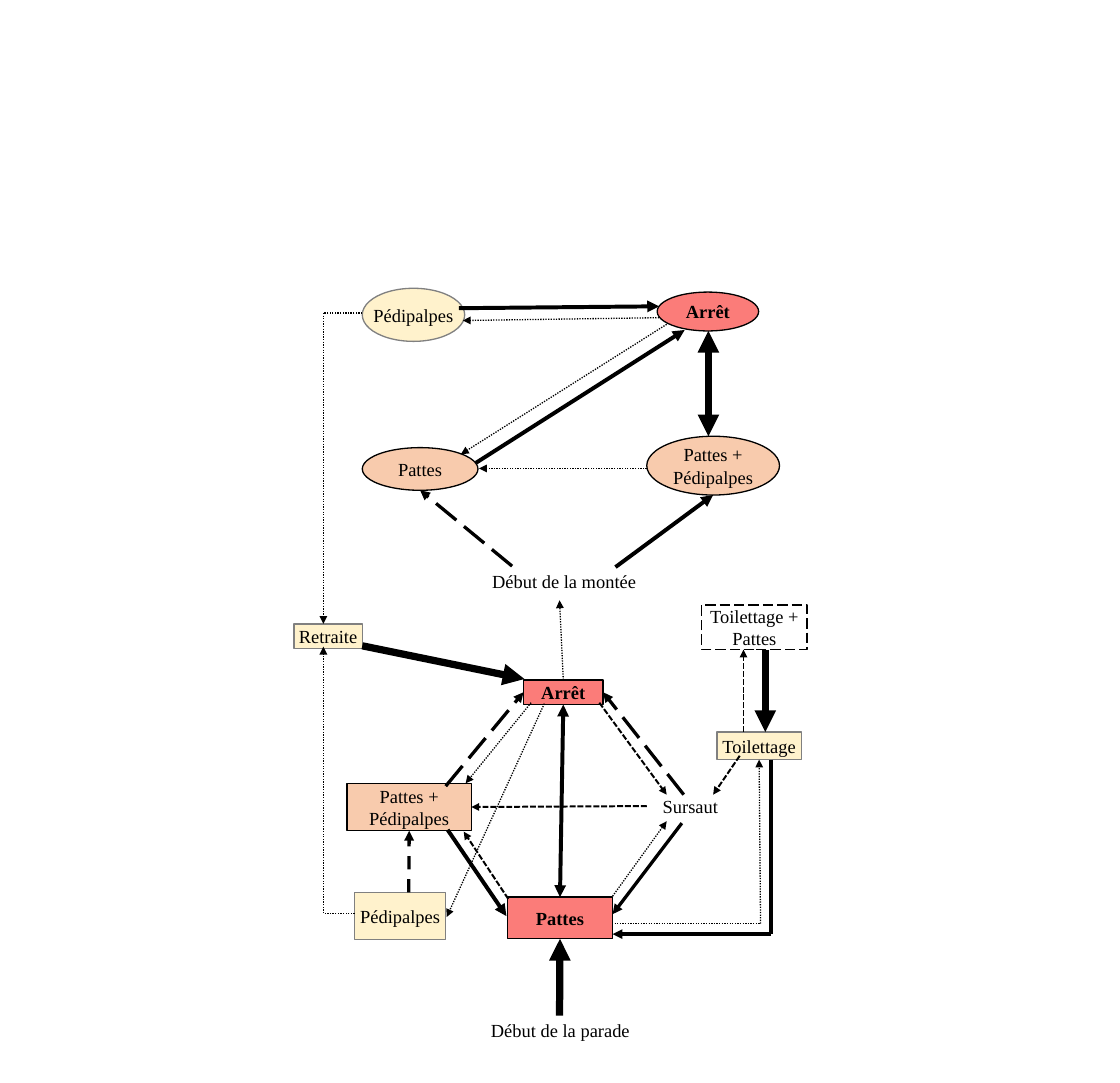
from lxml.etree import SubElement
from pptx import Presentation
from pptx.dml.color import RGBColor
from pptx.enum.dml import MSO_LINE
from pptx.enum.shapes import MSO_CONNECTOR, MSO_SHAPE
from pptx.enum.text import MSO_ANCHOR, PP_ALIGN
from pptx.oxml.ns import qn
from pptx.util import Inches, Pt

# Grid of square cells, a tenth of an inch each
COLUMNS, ROWS = 118.1, 114.2
BLACK, GREY, WHITE = "000000", "808080", "FFFFFF"
RED, ORANGE, CREAM = "FB7C79", "F8CBAD", "FFF2CC"
TOP, LEFT, BOTTOM, RIGHT = range(4)

# Transition strengths: line width in points and dash
RARE = (1, MSO_LINE.ROUND_DOT)
LOW = (1.5, MSO_LINE.SQUARE_DOT)
MEDIUM = (2.5, MSO_LINE.LONG_DASH)
MEDIUM_SHORT = (2.5, MSO_LINE.DASH)
HIGH = (2.5, None)
HIGHER = (3, None)
HIGHEST = (5.5, None)

# Behaviours: key -> label, place in cells, fill, outline
CLIMB_STATES = {
    "climb stop": ("Arrêt", (69.3, 30.8, 10.7, 4.1), RED, BLACK),
    "climb both": ("Pattes +\nPédipalpes", (68.2, 46, 14, 6.2), ORANGE, BLACK),
    "climb legs": ("Pattes", (38.2, 47.2, 12.2, 4.5), ORANGE, BLACK),
    "climb palps": ("Pédipalpes", (38.2, 30.4, 10.8, 5.6), CREAM, GREY),
}
DISPLAY_STATES = {
    "stop": ("Arrêt", (55.2, 71.7, 8.4, 2.6), RED, BLACK),
    "legs": ("Pattes", (53.5, 94.6, 11.1, 4.4), RED, BLACK),
    "palps": ("Pédipalpes", (37.4, 94.1, 9.6, 5), CREAM, GREY),
    "both": ("Pattes +\nPédipalpes", (36.6, 82.6, 13.1, 5), ORANGE, BLACK),
    "retreat": ("Retraite", (31, 65.8, 7.2, 2.6), CREAM, GREY),
    "grooming": ("Toilettage", (75.6, 77.2, 8.9, 2.9), CREAM, GREY),
    "grooming legs": ("Toilettage +\nPattes", (74, 63.8, 11.1, 4.7), WHITE, BLACK),
}
# Captions: label, centre in cells
CAPTIONS = [
    ("Début de la montée", (59.5, 61.3)),
    ("Début de la parade", (59.1, 108.6)),
    ("Sursaut", (72.8, 85)),
]

# One-way transitions: strength, then points or (behaviour, side)
ROUTES = [
    # Climb
    (HIGHER, (48.4, 32.5), (69.5, 32.3)),
    (RARE, (69.5, 33.5), (48.8, 33.8)),
    (HIGHER, (50.2, 48.8), (72.2, 34.8)),
    (RARE, (70.3, 34.2), (48.6, 47.9)),
    (RARE, (68.2, 49.4), (50.5, 49.4)),
    (HIGHER, (64.9, 59.8), (75.2, 52.2)),
    (MEDIUM, (54, 59.7), (44.3, 51.7)),
    # Retreat
    (RARE, (38.2, 33), (34.1, 33), (34.1, 65.8)),
    (RARE, (37.4, 96.3), (34.1, 96.3), (34.1, 68.2)),
    (HIGHEST, (38.2, 68.1), (55.3, 71.6)),
    # Display
    (RARE, ("stop", TOP), (59, 63.3)),
    (RARE, (56, 74.1), (49.1, 82.6)),
    (RARE, (57.4, 74.2), (47.1, 96.7)),
    (MEDIUM, (47, 82.9), ("stop", LEFT)),
    (HIGHER, (47.2, 87.5), (53.4, 96.6)),
    (LOW, (53.6, 94.8), (48.9, 87.7)),
    (MEDIUM_SHORT, (43.1, 94.1), ("both", BOTTOM)),
    (HIGHEST, (59, 107.1), ("legs", BOTTOM)),
    # Startle
    (LOW, (63.2, 74.1), (70.3, 83.8)),
    (MEDIUM, (72.1, 83.8), ("stop", RIGHT)),
    (LOW, (68.2, 85), ("both", RIGHT)),
    (RARE, (64.6, 94.5), (70.3, 86.6)),
    (HIGH, (71.9, 86.8), (64.6, 96.4)),
    # Grooming
    (LOW, (78, 79.7), (75.2, 83.8)),
    (LOW, (78.4, 77.2), (78.4, 68.5)),
    (HIGHEST, (80.7, 68.5), (80.7, 77.2)),
    (RARE, (64.8, 97.4), (80.2, 97.4), ("grooming", BOTTOM)),
    (HIGH, (81.3, 80.1), (81.3, 98.5), (64.6, 98.5)),
]
# Two-way transitions
EXCHANGES = [
    (HIGHEST, (74.7, 34.9), (74.7, 46)),
    (HIGHER, ("stop", BOTTOM), ("legs", TOP)),
]


def cells(count):
    return Inches(count / 10)


def colour(target, code):
    target.rgb = RGBColor.from_string(code)


def write_label(box, label, bold=False):
    frame = box.text_frame
    frame.text = label
    frame.word_wrap = False
    frame.vertical_anchor = MSO_ANCHOR.MIDDLE
    frame.margin_left = frame.margin_right = frame.margin_top = frame.margin_bottom = 0
    for paragraph in frame.paragraphs:
        paragraph.alignment = PP_ALIGN.CENTER
        for run in paragraph.runs:
            run.font.name = "Times New Roman"
            run.font.size = Pt(14)
            run.font.bold = bold
            colour(run.font.color, BLACK)


def add_behaviour(slide, outline, label, place, fill, edge):
    behaviour = slide.shapes.add_shape(outline, *map(cells, place))
    behaviour.shadow.inherit = False
    behaviour.fill.solid()
    colour(behaviour.fill.fore_color, fill)
    colour(behaviour.line.color, edge)
    behaviour.line.width = Pt(1)
    write_label(behaviour, label, bold=fill == RED)
    return behaviour


def add_caption(slide, label, centre):
    width, height = 25, 3.4
    x, y = centre
    place = (x - width / 2, y - height / 2, width, height)
    write_label(slide.shapes.add_textbox(*map(cells, place)), label)


def add_link(slide, behaviours, strength, start, end, heads):
    # Joined ends begin at the corner and move when they are joined
    joins = [isinstance(point[0], str) for point in (start, end)]
    corners = [(0, 0) if joined else point
               for joined, point in zip(joins, (start, end))]
    link = slide.shapes.add_connector(
        MSO_CONNECTOR.STRAIGHT, *(cells(n) for corner in corners for n in corner))
    for joined, point, join in zip(joins, (start, end),
                                   (link.begin_connect, link.end_connect)):
        if joined:
            join(behaviours[point[0]], point[1])
    width, dash = strength
    link.line.width = Pt(width)
    colour(link.line.color, BLACK)
    if dash:
        link.line.dash_style = dash
    for head in heads:
        SubElement(link.get_or_add_ln(), qn(f"a:{head}")).set("type", "triangle")
    SubElement(link._element.spPr, qn("a:effectLst"))


def add_route(slide, behaviours, strength, *points):
    legs = list(zip(points, points[1:]))
    for number, (start, end) in enumerate(legs, 1):
        heads = ["tailEnd"] if number == len(legs) else []
        add_link(slide, behaviours, strength, start, end, heads)


def main():
    presentation = Presentation()
    presentation.slide_width = cells(COLUMNS)
    presentation.slide_height = cells(ROWS)
    slide = presentation.slides.add_slide(presentation.slide_layouts[6])

    # Behaviours and captions
    behaviours = {}
    for outline, states in ((MSO_SHAPE.OVAL, CLIMB_STATES),
                            (MSO_SHAPE.RECTANGLE, DISPLAY_STATES)):
        for key, state in states.items():
            behaviours[key] = add_behaviour(slide, outline, *state)
    behaviours["grooming legs"].line.dash_style = MSO_LINE.LONG_DASH
    for label, centre in CAPTIONS:
        add_caption(slide, label, centre)

    # Transitions
    for route in ROUTES:
        add_route(slide, behaviours, *route)
    for strength, start, end in EXCHANGES:
        add_link(slide, behaviours, strength, start, end, ["headEnd", "tailEnd"])

    presentation.save("out.pptx")


if __name__ == "__main__":
    main()
